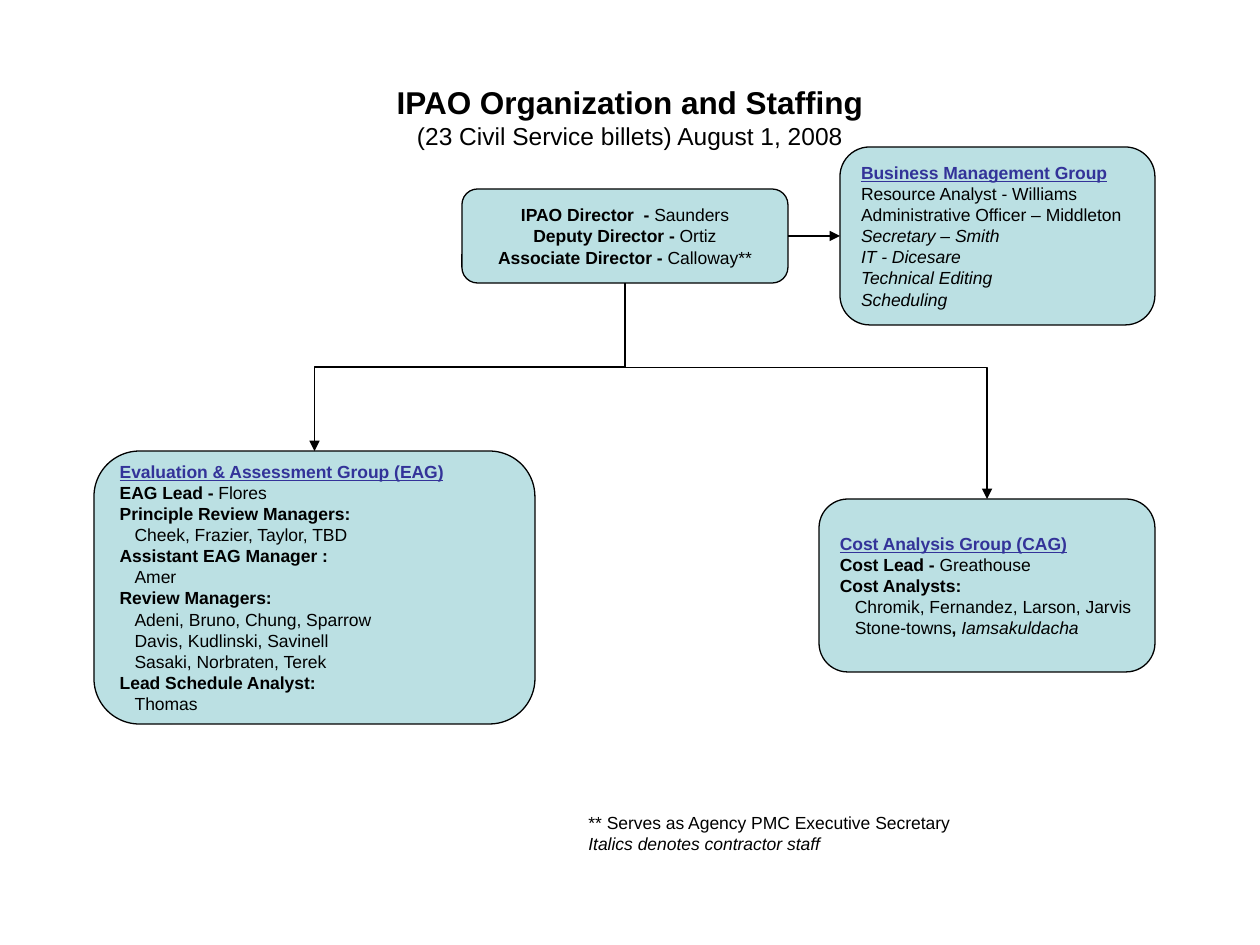
import pptx
import pptx.util
from lxml import etree
from pptx.dml.color import RGBColor
from pptx.enum.shapes import MSO_CONNECTOR, MSO_SHAPE
from pptx.enum.text import MSO_ANCHOR, MSO_AUTO_SIZE, PP_ALIGN
from pptx.oxml.ns import qn

BLACK = RGBColor(0x00, 0x00, 0x00)
TEAL = RGBColor(0xBB, 0xE0, 0xE3)
INDIGO = RGBColor(0x33, 0x33, 0x99)
FONT = "Arial"
INDENT = 15
TOP, LEFT, BOTTOM, RIGHT = range(4)

# A line is a list of (text, style) runs; styles: b bold, i italic, > indented line.
DIRECTORS = [
    [("IPAO Director  - ", "b"), ("Saunders", "")],
    [("Deputy Director - ", "b"), ("Ortiz", "")],
    [("Associate Director - ", "b"), ("Calloway**", "")],
]
BUSINESS = [
    [("Resource Analyst - Williams", "")],
    [("Administrative Officer – Middleton", "")],
    [("Secretary – Smith", "i")],
    [("IT - Dicesare", "i")],
    [("Technical Editing", "i")],
    [("Scheduling", "i")],
]
EVALUATION = [
    [("EAG Lead - ", "b"), ("Flores", "")],
    [("Principle Review Managers:", "b")],
    [("Cheek, Frazier, Taylor, TBD", ">")],
    [("Assistant EAG Manager :", "b")],
    [("Amer", ">")],
    [("Review Managers:", "b")],
    [("Adeni, Bruno, Chung, Sparrow", ">")],
    [("Davis, Kudlinski, Savinell", ">")],
    [("Sasaki, Norbraten, Terek", ">")],
    [("Lead Schedule Analyst:", "b")],
    [("Thomas", ">")],
]
COST = [
    [("Cost Lead - ", "b"), ("Greathouse", "")],
    [("Cost Analysts:", "b")],
    [("Chromik, Fernandez, Larson, Jarvis", ">")],
    [("Stone-towns", ">"), (", ", "b"), ("Iamsakuldacha", "i")],
]
NOTES = [
    [("** Serves as Agency PMC Executive Secretary", "")],
    [("Italics denotes contractor staff", "i")],
]


def px(n):
    return pptx.util.Emu(round(n * 914400 / 126))


def set_font(font, size, color=BLACK):
    font.name = FONT
    font.size = pptx.util.Pt(size)
    font.color.rgb = color


def add_title(s, title, subtitle):
    sp = s.shapes.title
    sp.left, sp.top, sp.width, sp.height = px(63), px(38), px(1134), px(157)
    tf = sp.text_frame
    tf.auto_size = MSO_AUTO_SIZE.NONE
    tf.vertical_anchor = MSO_ANCHOR.MIDDLE
    p = tf.paragraphs[0]
    p.alignment = PP_ALIGN.CENTER
    r = p.add_run()
    r.text = title
    set_font(r.font, 18)
    r.font.bold = True
    p.add_line_break()
    r = p.add_run()
    r.text = subtitle
    set_font(r.font, 14)


def write_lines(tf, lines, heading=None, align=PP_ALIGN.LEFT):
    """Fill a text frame with an optional underlined heading and styled lines."""
    tf.word_wrap = False
    rows = [[(heading, "b")]] + lines if heading else lines
    for n, runs in enumerate(rows):
        p = tf.paragraphs[0] if n == 0 else tf.add_paragraph()
        p.alignment = align
        if ">" in runs[0][1]:
            p._p.get_or_add_pPr().set("marL", str(px(INDENT)))
        is_heading = bool(heading) and n == 0
        set_font(p.font, 10, INDIGO if is_heading else BLACK)
        p.font.underline = is_heading
        for text, style in runs:
            r = p.add_run()
            r.text = text
            r.font.bold = "b" in style
            r.font.italic = "i" in style


def add_box(s, x, y, w, h, lines, heading=None, align=PP_ALIGN.LEFT):
    sp = s.shapes.add_shape(MSO_SHAPE.FLOWCHART_ALTERNATE_PROCESS,
                            px(x), px(y), px(w), px(h))
    sp.shadow.inherit = False
    sp.fill.solid()
    sp.fill.fore_color.rgb = TEAL
    sp.line.color.rgb = BLACK
    sp.line.width = pptx.util.Pt(0.75)
    sp.text_frame.vertical_anchor = MSO_ANCHOR.MIDDLE
    write_lines(sp.text_frame, lines, heading, align)
    return sp


def add_arrow(s, kind, start, start_side, end, end_side):
    c = s.shapes.add_connector(kind, 0, 0, 0, 0)
    c.begin_connect(start, start_side)
    c.end_connect(end, end_side)
    c.line.color.rgb = BLACK
    c.line.width = pptx.util.Pt(0.75)
    etree.SubElement(c.line._get_or_add_ln(), qn("a:tailEnd"), type="triangle")
    etree.SubElement(c._element.spPr, qn("a:effectLst"))
    return c


def add_drop_arrow(s, start, end, bend):
    """Elbow arrow from a bottom to a top, turning at the given share of the drop."""
    c = add_arrow(s, MSO_CONNECTOR.ELBOW, start, BOTTOM, end, TOP)
    x1, y1, x2, y2 = c.begin_x, c.begin_y, c.end_x, c.end_y
    drop, run = y2 - y1, abs(x2 - x1)
    c.left, c.top = (x1 + x2 - drop) // 2, (y1 + y2 - run) // 2
    c.width, c.height = drop, run
    xfrm = c._element.spPr.find(qn("a:xfrm"))
    for name in ("flipH", "flipV"):
        xfrm.attrib.pop(name, None)
    if x2 > x1:
        xfrm.set("rot", "16200000")
        xfrm.set("flipH", "1")
    else:
        xfrm.set("rot", "5400000")
    av = c._element.spPr.find(qn("a:prstGeom")).get_or_add_avLst()
    etree.SubElement(av, qn("a:gd"), name="adj1", fmla=f"val {round(bend * 100000)}")


def add_notes_box(s, x, y, w, h, lines):
    tf = s.shapes.add_textbox(px(x), px(y), px(w), px(h)).text_frame
    tf.auto_size = MSO_AUTO_SIZE.SHAPE_TO_FIT_TEXT
    write_lines(tf, lines)


def main():
    prs = pptx.Presentation()
    prs.slide_width, prs.slide_height = px(1260), px(945)
    s = prs.slides.add_slide(prs.slide_layouts[5])
    add_title(s, "IPAO Organization and Staffing",
              "(23 Civil Service billets) August 1, 2008")

    directors = add_box(s, 462, 189, 326, 94, DIRECTORS, align=PP_ALIGN.CENTER)
    business = add_box(s, 840, 147, 315, 178, BUSINESS, "Business Management Group")
    evaluation = add_box(s, 94, 451, 441, 273, EVALUATION,
                         "Evaluation & Assessment Group (EAG)")
    cost = add_box(s, 819, 499, 336, 173, COST, "Cost Analysis Group (CAG)")

    add_arrow(s, MSO_CONNECTOR.STRAIGHT, directors, RIGHT, business, LEFT)
    add_notes_box(s, 576, 806, 387, 55, NOTES)
    add_drop_arrow(s, directors, cost, 0.39)
    add_drop_arrow(s, directors, evaluation, 0.5)
    prs.save("out.pptx")


if __name__ == "__main__":
    main()
